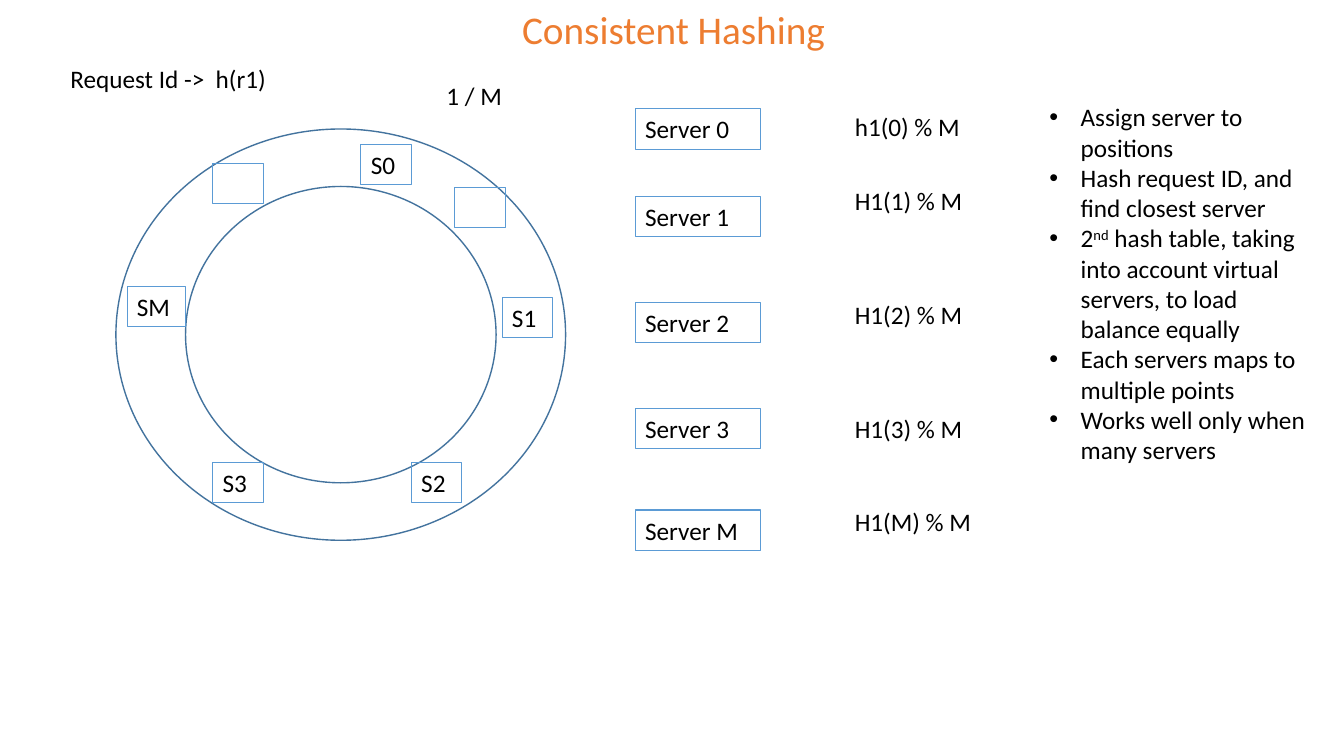
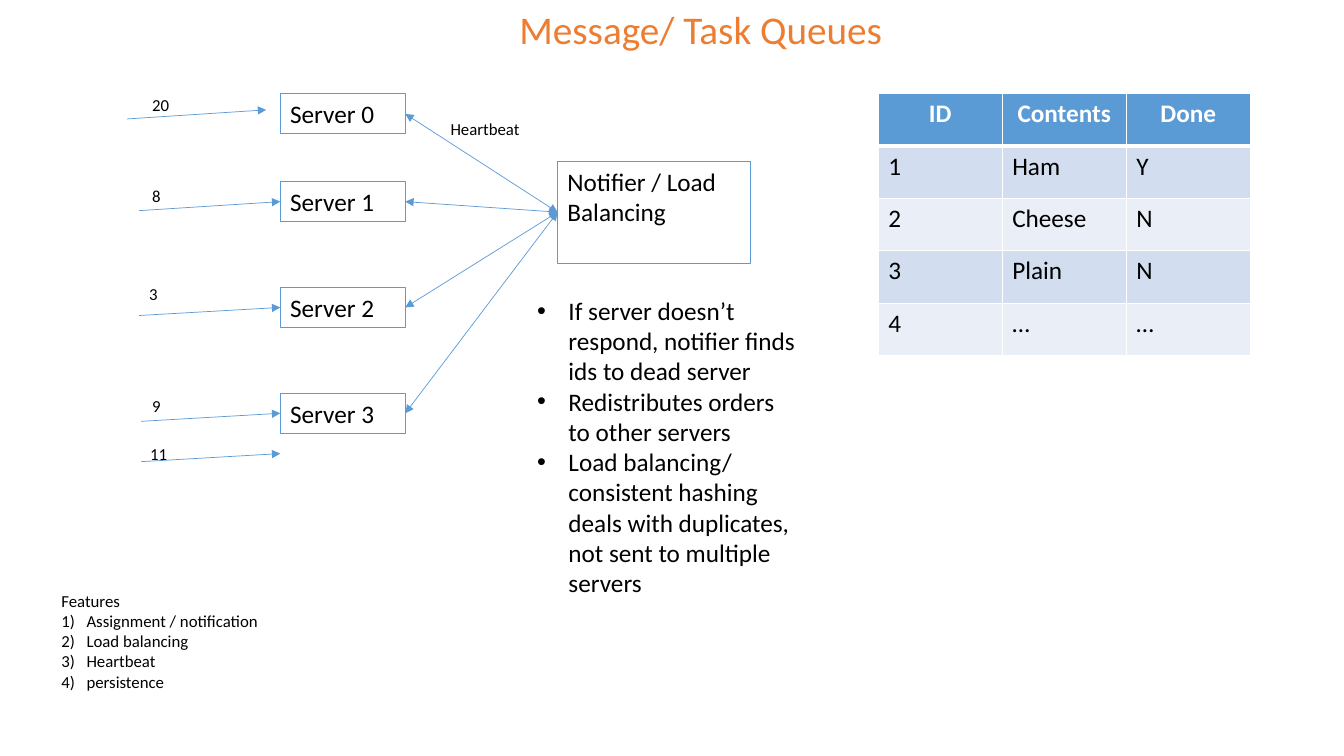
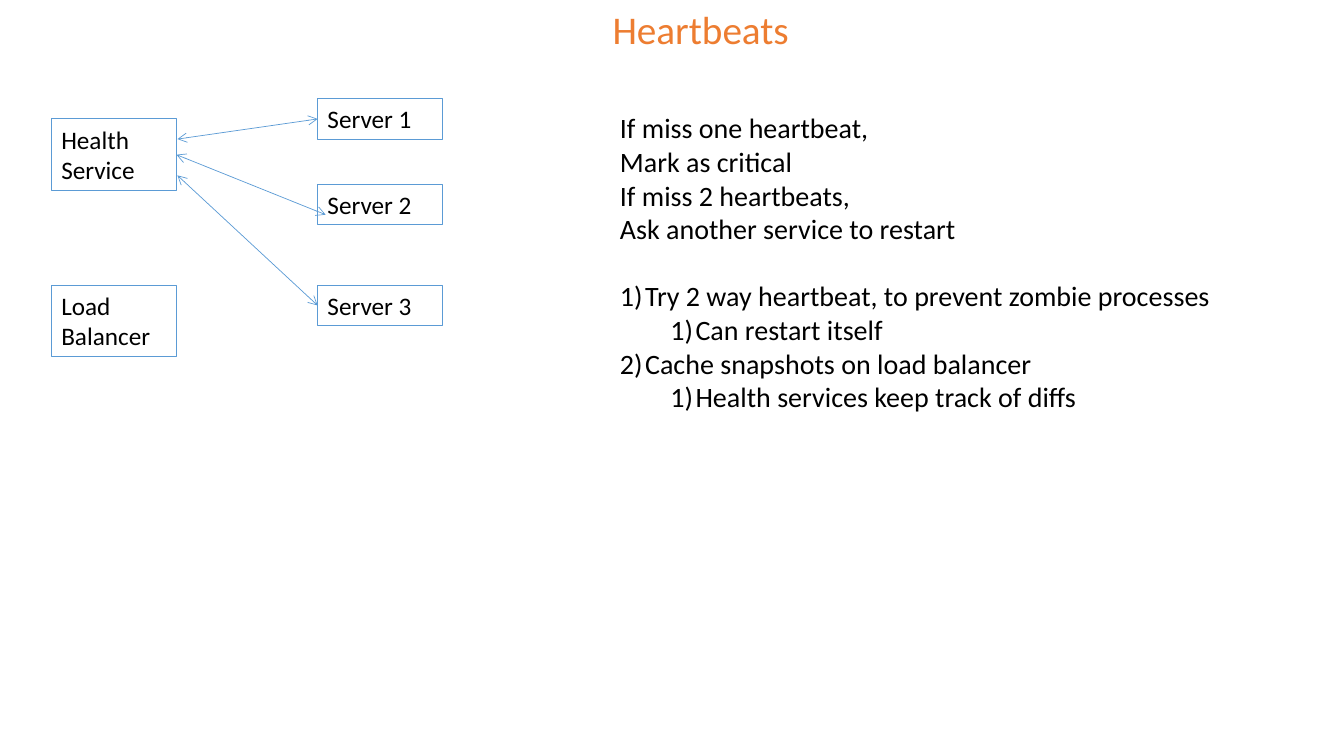
"""Build three slides on consistent hashing, task queues and heartbeats."""
from dataclasses import dataclass
from typing import Any, NamedTuple, Optional, Sequence, Union

import lxml.etree
import pptx
import pptx.dml.color
import pptx.enum.shapes
import pptx.enum.text
import pptx.oxml.ns
import pptx.presentation
import pptx.shapes.autoshape
import pptx.slide
import pptx.text.text
import pptx.util

Inches = pptx.util.Inches
Pt = pptx.util.Pt
PRESET = pptx.enum.shapes.MSO_SHAPE
ALIGN = pptx.enum.text.PP_ALIGN

FONT = "Calibri"
ORANGE, BLUE, RING_BLUE = "ED7D31", "5B9BD5", "43739E"
BLACK, WHITE = "000000", "FFFFFF"
BANDS = ("D2DEEF", "EAEFF7")
BULLET, NUMBER = "•", "1)"
LEFT_SIDE, RIGHT_SIDE = 1, 3
SERVER_WIDTH, BOX_HEIGHT = 1.24, 0.4
SERVER_TOPS = (1.08, 1.95, 3, 4.05, 5.06)
QUEUE_SHIFT = -0.15


class Box(NamedTuple):
    left: float
    top: float
    width: float
    height: float


class Point(NamedTuple):
    x: float
    y: float


class Joint(NamedTuple):
    shape: pptx.shapes.autoshape.Shape
    side: int


End = Union[Point, Joint]


@dataclass(frozen=True)
class Line:
    text: str
    mark: str = ""
    level: int = 0
    gap: float = 0


@dataclass(frozen=True)
class Node:
    label: str
    left: float
    top: float
    width: float = 0.5


@dataclass(frozen=True)
class Request:
    count: str
    label: Point
    start: Point
    end: Optional[Point] = None


def rgb(value: str) -> pptx.dml.color.RGBColor:
    return pptx.dml.color.RGBColor.from_string(value)


def add_xml(parent: Any, tag: str, **attributes: str) -> Any:
    return lxml.etree.SubElement(parent, pptx.oxml.ns.qn(tag), attributes)


def mark_paragraph(paragraph: Any, line: Line) -> None:
    paragraph.level = line.level
    indent = 0.31 if line.mark == BULLET else 0.25
    properties = paragraph._p.get_or_add_pPr()
    properties.set("marL", str(Inches(indent + line.level * 0.5)))
    properties.set("indent", str(-Inches(indent)))
    if line.mark == BULLET:
        add_xml(properties, "a:buFont", typeface="Arial")
        add_xml(properties, "a:buChar", char=BULLET)
    else:
        add_xml(properties, "a:buFont", typeface=FONT)
        add_xml(properties, "a:buAutoNum", type="arabicParenR")


def write(frame: pptx.text.text.TextFrame, text: Union[str, Sequence[Line]], *,
          size: float = 18, color: str = BLACK, bold: bool = False,
          align: Any = ALIGN.LEFT, wrap: bool = True) -> None:
    frame.word_wrap = wrap
    frame.vertical_anchor = pptx.enum.text.MSO_ANCHOR.TOP
    lines = [Line(text)] if isinstance(text, str) else text
    for index, line in enumerate(lines):
        paragraph = frame.add_paragraph() if index else frame.paragraphs[0]
        paragraph.alignment = align
        if line.gap:
            paragraph.space_before = Pt(line.gap)
        if line.mark:
            mark_paragraph(paragraph, line)
        for position, part in enumerate(line.text.split("^")):
            run = paragraph.add_run()
            run.text = part
            run.font.name, run.font.size, run.font.bold = FONT, Pt(size), bold
            run.font.color.rgb = rgb(color)
            if position % 2:
                run._r.get_or_add_rPr().set("baseline", "30000")


def add_text(slide: pptx.slide.Slide, box: Box, text: Union[str, Sequence[Line]],
             **style: Any) -> None:
    label = slide.shapes.add_textbox(*map(Inches, box))
    write(label.text_frame, text, **style)


def add_outline(slide: pptx.slide.Slide, box: Box,
                text: Union[str, Sequence[Line]] = "", *,
                preset: Any = PRESET.RECTANGLE, color: str = BLUE,
                weight: float = 0.75) -> pptx.shapes.autoshape.Shape:
    outline = slide.shapes.add_shape(preset, *map(Inches, box))
    outline.shadow.inherit = False
    outline.fill.background()
    outline.line.color.rgb = rgb(color)
    outline.line.width = Pt(weight)
    if text:
        write(outline.text_frame, text)
    return outline


def add_server(slide: pptx.slide.Slide, name: str, left: float,
               top: float) -> pptx.shapes.autoshape.Shape:
    return add_outline(slide, Box(left, top, SERVER_WIDTH, BOX_HEIGHT), f"Server {name}")


def locate(end: End) -> tuple[int, int]:
    if isinstance(end, Point):
        return Inches(end.x), Inches(end.y)
    across = end.shape.width if end.side == RIGHT_SIDE else 0
    return end.shape.left + across, end.shape.top + end.shape.height // 2


def add_arrow(slide: pptx.slide.Slide, start: End, end: End, *,
              head: str = "triangle", both: bool = False) -> None:
    arrow = slide.shapes.add_connector(
        pptx.enum.shapes.MSO_CONNECTOR.STRAIGHT, *locate(start), *locate(end))
    if isinstance(start, Joint):
        arrow.begin_connect(start.shape, start.side)
    if isinstance(end, Joint):
        arrow.end_connect(end.shape, end.side)
    arrow.line.color.rgb = rgb(BLUE)
    arrow.line.width = Pt(0.5)
    properties = arrow.element.spPr
    stroke = properties.find(pptx.oxml.ns.qn("a:ln"))
    if both:
        add_xml(stroke, "a:headEnd", type=head)
    add_xml(stroke, "a:tailEnd", type=head)
    add_xml(properties, "a:effectLst")


def add_titled_slide(deck: pptx.presentation.Presentation, title: str,
                     width: float = 3.94) -> pptx.slide.Slide:
    slide = deck.slides.add_slide(deck.slide_layouts[6])
    add_text(slide, Box(4.98, 0, width, 0.57), title,
             size=28, color=ORANGE, align=ALIGN.CENTER)
    return slide


def add_orders(slide: pptx.slide.Slide, rows: Sequence[Sequence[str]]) -> None:
    width, height = 1.23, 0.52
    columns = len(rows[0])
    orders = slide.shapes.add_table(
        len(rows), columns, Inches(8.71), Inches(0.93),
        Inches(width * columns), Inches(height * len(rows))).table
    for column in orders.columns:
        column.width = Inches(width)
    for r, row in enumerate(rows):
        orders.rows[r].height = Inches(height)
        header = r == 0
        for c, text in enumerate(row):
            cell = orders.cell(r, c)
            weights = {"L": 1, "R": 1, "T": 3 if r == 1 else 1, "B": 3 if header else 1}
            for side, weight in weights.items():
                border = add_xml(cell._tc.get_or_add_tcPr(), f"a:ln{side}", w=str(Pt(weight)))
                add_xml(add_xml(border, "a:solidFill"), "a:srgbClr", val=WHITE)
            cell.fill.solid()
            cell.fill.fore_color.rgb = rgb(BLUE if header else BANDS[(r - 1) % 2])
            write(cell.text_frame, text, bold=header, color=WHITE if header else BLACK,
                  align=ALIGN.CENTER if header else ALIGN.LEFT)


def build_hashing(deck: pptx.presentation.Presentation) -> None:
    slide = add_titled_slide(deck, "Consistent Hashing", 3.4)
    for ring in (Box(1.15, 1.28, 4.46, 4.08), Box(1.84, 1.85, 3.08, 2.94)):
        add_outline(slide, ring, preset=PRESET.OVAL, color=RING_BLUE, weight=1)
    add_text(slide, Box(0.6, 0.58, 2.21, BOX_HEIGHT), "Request Id ->  h(r1)")
    for name, top in zip("0123M", SERVER_TOPS):
        add_server(slide, name, 6.3, top)
    hashes = ("h1(0)", "H1(1)", "H1(2)", "H1(3)", "H1(M)")
    for value, top in zip(hashes, (1.06, 1.79, 2.92, 4.05, 4.97)):
        add_text(slide, Box(8.38, top, 1.47, BOX_HEIGHT), f"{value} % M")
    nodes = (
        Node("S0", 3.58, 1.43), Node("S1", 4.98, 2.95), Node("S2", 4.08, 4.59),
        Node("S3", 2.11, 4.59), Node("SM", 1.26, 2.84, 0.58),
        Node("", 2.11, 1.62), Node("", 4.51, 1.86),
    )
    for node in nodes:
        add_outline(slide, Box(node.left, node.top, node.width, BOX_HEIGHT), node.label)
    points = (
        "Assign server to positions",
        "Hash request ID, and find closest server",
        "2^nd^ hash table, taking into account virtual servers, to load balance equally",
        "Each servers maps to multiple points",
        "Works well only when many servers",
    )
    add_text(slide, Box(10.31, 0.96, 2.79, 3.74), [Line(point, BULLET) for point in points])
    add_text(slide, Box(4.33, 0.75, 0.85, BOX_HEIGHT), "1 / M")


def build_queues(deck: pptx.presentation.Presentation) -> None:
    slide = add_titled_slide(deck, "Message/ Task Queues")
    servers = [add_server(slide, name, 2.78, top + QUEUE_SHIFT)
               for name, top in zip("0123", SERVER_TOPS)]
    add_orders(slide, (
        ("ID", "Contents", "Done"),
        ("1", "Ham", "Y"),
        ("2", "Cheese", "N"),
        ("3", "Plain", "N"),
        ("4", "…", "…"),
    ))
    requests = (
        Request("20", Point(1.41, 0.89), Point(1.26, 1.18), Point(2.64, 1.09)),
        Request("8", Point(1.41, 1.79), Point(1.38, 2.09)),
        Request("3", Point(1.38, 2.77), Point(1.38, 3.13)),
        Request("9", Point(1.41, 3.88), Point(1.4, 4.18)),
        Request("11", Point(1.39, 4.35), Point(1.4, 4.58), Point(2.78, 4.5)),
    )
    for index, request in enumerate(requests):
        add_arrow(slide, request.start, request.end or Joint(servers[index], LEFT_SIDE))
        add_text(slide, Box(*request.label, 0.68, 0.3), request.count, size=12)
    notifier = add_outline(slide, Box(5.53, 1.6, 1.91, 1.01), "Notifier / Load Balancing")
    for server in servers:
        add_arrow(slide, Joint(server, RIGHT_SIDE), Joint(notifier, LEFT_SIDE), both=True)
    add_text(slide, Box(4.37, 1.13, 0.89, 0.3), "Heartbeat", size=12, wrap=False)
    points = (
        "If server doesn’t respond, notifier finds ids to dead server",
        "Redistributes orders to other servers",
        "Load balancing/ consistent hashing deals with duplicates, not sent to multiple servers",
    )
    add_text(slide, Box(5.23, 2.88, 2.79, 3.13), [Line(point, BULLET) for point in points])
    features = ("Assignment / notification", "Load balancing", "Heartbeat", "persistence")
    add_text(slide, Box(0.51, 5.81, 2.18, 1.11),
             [Line("Features"), *(Line(feature, NUMBER) for feature in features)],
             size=12, wrap=False)


def build_heartbeats(deck: pptx.presentation.Presentation) -> None:
    slide = add_titled_slide(deck, "Heartbeats")
    first, _, third = [add_server(slide, name, 3.15, top)
                       for name, top in zip("123", (0.98, 1.83, 2.83))]
    add_text(slide, Box(6.05, 1.05, 6.11, 3.13), (
        Line("If miss one heartbeat,"),
        Line("Mark as critical"),
        Line("If miss 2 heartbeats,"),
        Line("Ask another service to restart"),
        Line("Try 2 way heartbeat, to prevent zombie processes", NUMBER, gap=24),
        Line("Can restart itself", NUMBER, level=1),
        Line("Cache snapshots on load balancer", NUMBER),
        Line("Health services keep track of diffs", NUMBER, level=1),
    ), size=20, wrap=False)
    health = add_outline(slide, Box(0.51, 1.18, SERVER_WIDTH, 0.71),
                         (Line("Health"), Line("Service")))
    add_outline(slide, Box(0.51, 2.83, SERVER_WIDTH, 0.71), "Load Balancer")
    beats = (
        (Point(1.76, 1.38), Joint(first, LEFT_SIDE)),
        (Joint(health, RIGHT_SIDE), Point(3.23, 2.13)),
        (Point(1.76, 1.74), Joint(third, LEFT_SIDE)),
    )
    for start, end in beats:
        add_arrow(slide, start, end, head="arrow", both=True)


def main() -> None:
    deck = pptx.Presentation()
    deck.slide_width, deck.slide_height = Inches(13.33), Inches(7.5)
    build_hashing(deck)
    build_queues(deck)
    build_heartbeats(deck)
    deck.save("out.pptx")


if __name__ == "__main__":
    main()
